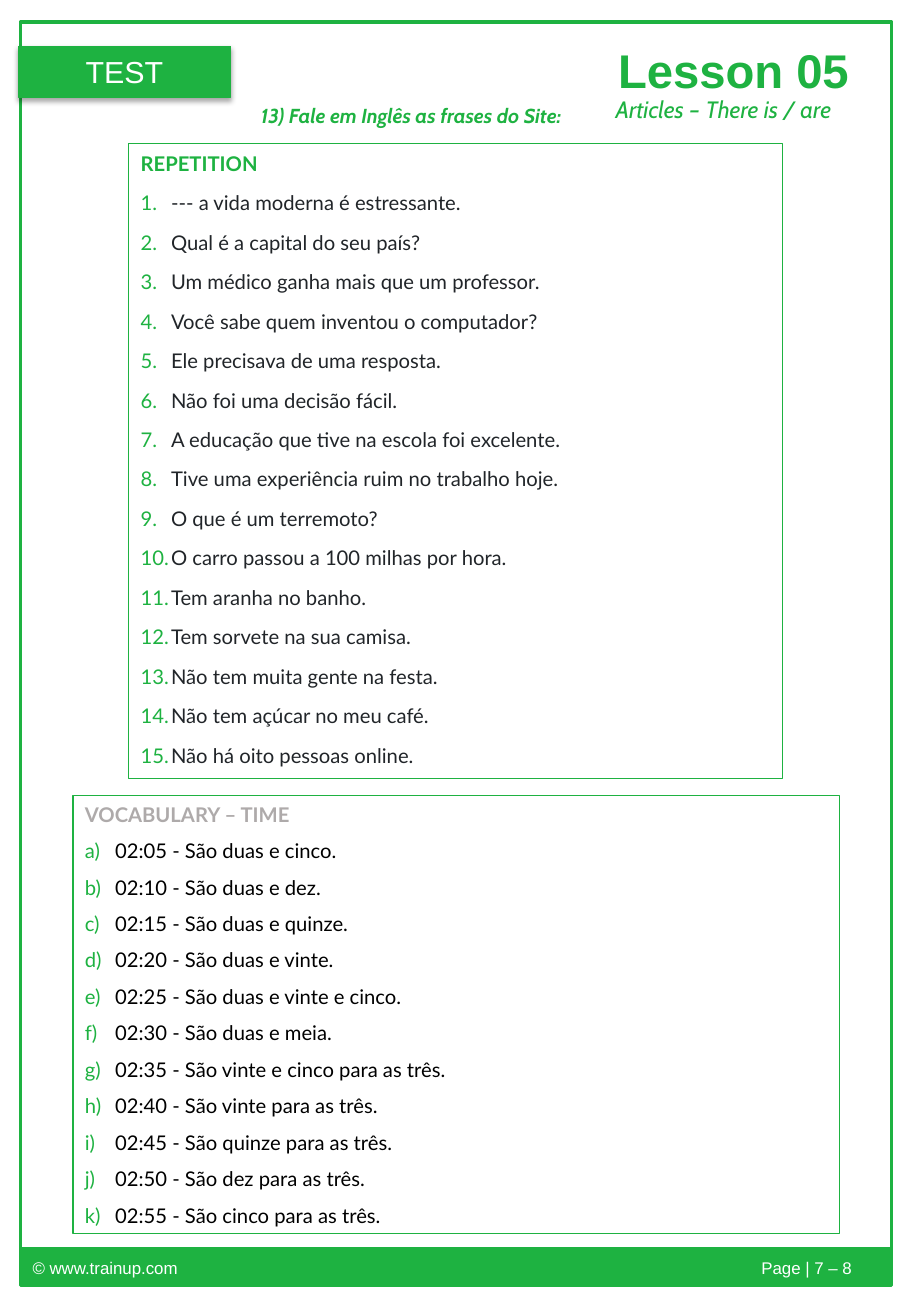
from lxml import etree
from pptx import Presentation
from pptx import util as u
from pptx.dml.color import RGBColor
from pptx.enum import shapes, text
from pptx.oxml import ns

GREEN = RGBColor(0x1E, 0xB2, 0x41)
WHITE = RGBColor(0xFF, 0xFF, 0xFF)
GREY = RGBColor(0xAE, 0xAA, 0xAA)
DARK = RGBColor(0x21, 0x25, 0x29)
BLACK = RGBColor(0, 0, 0)
LEFT, MID = text.PP_ALIGN.LEFT, text.PP_ALIGN.CENTER
TOP, HALF = text.MSO_ANCHOR.TOP, text.MSO_ANCHOR.MIDDLE
FIT = text.MSO_AUTO_SIZE.SHAPE_TO_FIT_TEXT
RECT = shapes.MSO_SHAPE.RECTANGLE

deck = Presentation()
deck.slide_width, deck.slide_height = u.Inches(7.5), u.Inches(10.83)
page = deck.slides.add_slide(deck.slide_layouts[6])


def block(place, kind=RECT, fill=None, line=0.75):
    shape = page.shapes.add_shape(kind, *[u.Inches(v) for v in place])
    shape.shadow.inherit = False
    if fill is None:
        shape.fill.background()
    else:
        shape.fill.solid()
        shape.fill.fore_color.rgb = fill
    shape.line.color.rgb = GREEN
    shape.line.width = u.Pt(line)
    return shape


def write(shape, words, size=12, font="Lato", color=GREEN, bold=False,
          italic=False, align=LEFT, anchor=TOP, wrap=True, fit=None,
          mark=None, space=None, after=None, tab=None, more=False):
    frame = shape.text_frame
    if not more:
        frame.word_wrap = wrap
        frame.vertical_anchor = anchor
        if fit:
            frame.auto_size = fit
    para = frame.add_paragraph() if more else frame.paragraphs[0]
    props = para._p.get_or_add_pPr()
    if mark:
        props.set("marL", str(u.Inches(0.25)))
        props.set("indent", str(-u.Inches(0.25)))
        tint = etree.SubElement(props, ns.qn("a:buClr"))
        etree.SubElement(tint, ns.qn("a:srgbClr"), val=str(GREEN))
        etree.SubElement(props, ns.qn("a:buAutoNum"), type=mark)
    if tab:
        tabs = etree.SubElement(props, ns.qn("a:tabLst"))
        etree.SubElement(tabs, ns.qn("a:tab"), pos=str(u.Inches(tab)), algn="l")
    para.alignment = align
    if space:
        para.line_spacing = space
    if after:
        para.space_after = u.Pt(after)
    run = para.add_run()
    run.text = words
    run.font.size = u.Pt(size)
    run.font.name = font
    run.font.bold = bold
    run.font.italic = italic
    run.font.color.rgb = color


block((0.17, 0.18, 7.17, 10.39), line=2)

drill = block((1.06, 1.18, 5.38, 5.23))
write(drill, "REPETITION", bold=True, space=1.07, after=8, fit=FIT)
for phrase in (
    "--- a vida moderna é estressante.",
    "Qual é a capital do seu país?",
    "Um médico ganha mais que um professor.",
    "Você sabe quem inventou o computador?",
    "Ele precisava de uma resposta.",
    "Não foi uma decisão fácil.",
    "A educação que tive na escola foi excelente.",
    "Tive uma experiência ruim no trabalho hoje.",
    "O que é um terremoto?",
    "O carro passou a 100 milhas por hora.",
    "Tem aranha no banho.",
    "Tem sorvete na sua camisa.",
    "Não tem muita gente na festa.",
    "Não tem açúcar no meu café.",
    "Não há oito pessoas online.",
):
    write(drill, phrase, color=DARK, mark="arabicPeriod", space=1.07,
          after=8, more=True)

badge = block((0.15, 0.38, 1.75, 0.42), shapes.MSO_SHAPE.ROUNDED_RECTANGLE, GREEN)
badge.adjustments[0] = 0
glow = etree.SubElement(
    badge._element.spPr.find(ns.qn("a:effectLst")), ns.qn("a:outerShdw"),
    blurRad=str(u.Pt(3.1)), dist=str(u.Pt(1.8)), dir="5400000", rotWithShape="0")
shade = etree.SubElement(glow, ns.qn("a:srgbClr"), val=str(BLACK))
etree.SubElement(shade, ns.qn("a:alpha"), val="35000")
write(badge, "TEST", size=18, font="Arial", color=WHITE, align=MID, anchor=HALF)

foot = block((0.17, 10.28, 7.17, 0.3), fill=GREEN, line=2)
write(foot, "© www.trainup.com\tPage | 7 – 8", size=10, font="Arial",
      color=WHITE, anchor=HALF, tab=6)

vocab = block((0.6, 6.55, 6.31, 3.6))
write(vocab, "VOCABULARY – TIME", color=GREY, bold=True, fit=FIT)
times = ("cinco", "dez", "quinze", "vinte", "vinte e cinco", "meia",
         "vinte e cinco para as três", "vinte para as três",
         "quinze para as três", "dez para as três", "cinco para as três")
for step, time in enumerate(times, 1):
    lead = "duas e " if step < 7 else ""
    write(vocab, f"02:{step * 5:02d} - São {lead}{time}.", color=BLACK,
          mark="alphaLcParenR", space=1.5, more=True)

for words, place, style in (
    ("13) Fale em Inglês as frases do Site:", (2.05, 0.8, 2.97, 0.3),
     dict(font="Cabin", bold=True, italic=True)),
    ("Lesson 05", (4.99, 0.29, 2.13, 0.57),
     dict(size=28, font="Arial", bold=True, wrap=False)),
    ("Articles – There is / are", (4.97, 0.73, 2.15, 0.34),
     dict(size=14, font="Cabin", italic=True, wrap=False)),
):
    label = page.shapes.add_textbox(*[u.Inches(v) for v in place])
    write(label, words, fit=FIT, **style)

deck.save("out.pptx")
